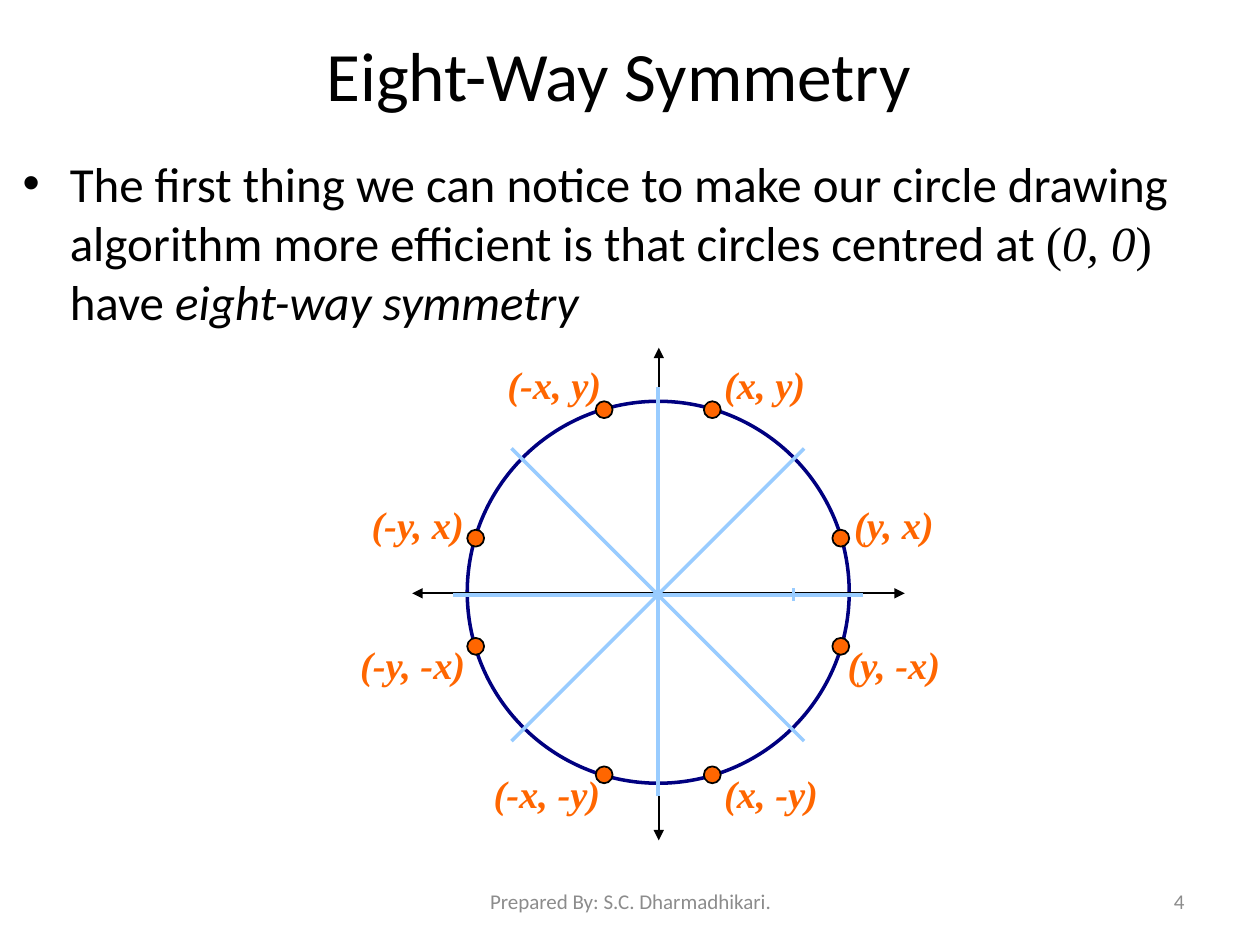
from lxml.etree import SubElement
from pptx import Presentation
from pptx.dml.color import RGBColor
from pptx.enum.shapes import MSO_CONNECTOR, MSO_SHAPE
from pptx.enum.text import MSO_ANCHOR, MSO_AUTO_SIZE, PP_ALIGN
from pptx.oxml.ns import qn
from pptx.util import Cm, Pt


def style(font, color, **values):
    """Set the colour and any other font values."""
    font.color.rgb = RGBColor.from_string(color)
    for name, value in values.items():
        setattr(font, name, value)


def stroke(line, color, width):
    line.color.rgb = RGBColor.from_string(color)
    line.width = Pt(width)


BLACK, NAVY, ORANGE, SKY, GREY = "000000", "000080", "FF6600", "99CCFF", "8C8C8C"
SANS, SERIF = "Calibri", "Times New Roman"

deck = Presentation()
deck.slide_width, deck.slide_height = Cm(25.4), Cm(19.05)
slide = deck.slides.add_slide(deck.slide_layouts[1])
shapes = slide.shapes

# Title and body
title, body = slide.placeholders
for holder, box in ((title, (1.02, 0.64, 22.91, 1.68)), (body, (0.2, 2.97, 24.13, 14.53))):
    holder.left, holder.top, holder.width, holder.height = map(Cm, box)
    holder.text_frame.auto_size = MSO_AUTO_SIZE.NONE

title.text_frame.text = "Eight-Way Symmetry"
title.text_frame.vertical_anchor = MSO_ANCHOR.MIDDLE
head = title.text_frame.paragraphs[0]
head.alignment = PP_ALIGN.CENTER
style(head.runs[0].font, BLACK, name=SANS, size=Pt(39.6))

para = body.text_frame.paragraphs[0]
para.space_before = Pt(0)
for text, face, slant in (
    ("The first thing we can notice to make our circle drawing algorithm "
     "more efficient is that circles centred at ", SANS, False),
    ("(", SERIF, False),
    ("0, 0", SERIF, True),
    (")", SERIF, False),
    (" have ", SANS, False),
    ("eight-way symmetry", SANS, True),
):
    run = para.add_run()
    run.text = text
    style(run.font, BLACK, name=face, size=Pt(28), italic=slant)

# Circle
mid_x, mid_y, rad = 13.27, 11.94, 3.85
ring = shapes.add_shape(MSO_SHAPE.OVAL, Cm(mid_x - rad), Cm(mid_y - rad), Cm(2 * rad), Cm(2 * rad))
ring.shadow.inherit = False
ring.fill.background()
stroke(ring.line, NAVY, 2)

# Axes, spokes and tick: ends, colour, width, arrowheads
axis, spoke = (BLACK, 1, True), (SKY, 2, False)
for ends, (color, width, heads) in (
    ((13.28, 16.94, 13.28, 7.01), axis),
    ((8.31, 11.96, 18.24, 11.96), axis),
    ((10.31, 14.94, 16.21, 9.04), spoke),
    ((16, 11.86, 16, 12.12), spoke),
    ((16.21, 14.94, 10.31, 9.04), spoke),
    ((13.26, 16.05, 13.26, 7.8), spoke),
    ((9.14, 11.99, 17.4, 11.99), spoke),
):
    line = shapes.add_connector(MSO_CONNECTOR.STRAIGHT, *map(Cm, ends))
    stroke(line.line, color, width)
    props = line._element.spPr
    if heads:
        for tag in ("a:headEnd", "a:tailEnd"):
            SubElement(props.find(qn("a:ln")), qn(tag), type="triangle")
    SubElement(props, qn("a:effectLst"))

# Mirrored points with their labels: text, point offset, label corner
near, far, dot = 1.09, 3.68, 0.34
for text, dx, dy, left, top in (
    ("(x, y)", near, -far, 14.35, 7.16),
    ("(y, x)", far, -near, 16.97, 9.98),
    ("(y, -x)", far, near, 16.84, 12.8),
    ("(x, -y)", near, far, 14.35, 15.39),
    ("(-x, -y)", -near, far, 9.7, 15.39),
    ("(-y, -x)", -far, near, 7.01, 12.8),
    ("(-y, x)", -far, -near, 7.24, 9.98),
    ("(-x, y)", -near, -far, 9.98, 7.16),
):
    point = shapes.add_shape(
        MSO_SHAPE.OVAL, Cm(mid_x + dx - dot / 2), Cm(mid_y + dy - dot / 2), Cm(dot), Cm(dot))
    point.shadow.inherit = False
    point.fill.solid()
    point.fill.fore_color.rgb = RGBColor.from_string(ORANGE)
    stroke(point.line, BLACK, 1)

    wide = 2.16 + 0.25 * text.count("-")
    frame = shapes.add_textbox(Cm(left), Cm(top), Cm(wide), Cm(1.19)).text_frame
    frame.word_wrap = False
    frame.auto_size = MSO_AUTO_SIZE.SHAPE_TO_FIT_TEXT
    frame.text = text
    style(frame.paragraphs[0].runs[0].font, ORANGE,
          name=SERIF, size=Pt(22), bold=True, italic=True)

# Footer and page number
for text, left, wide, align in (
    ("4", 18.21, 5.92, PP_ALIGN.RIGHT),
    ("Prepared By: S.C. Dharmadhikari.", 8.69, 8.05, PP_ALIGN.CENTER),
):
    frame = shapes.add_textbox(Cm(left), Cm(17.65), Cm(wide), Cm(1.02)).text_frame
    frame.word_wrap = True
    frame.vertical_anchor = MSO_ANCHOR.MIDDLE
    frame.text = text
    frame.paragraphs[0].alignment = align
    style(frame.paragraphs[0].runs[0].font, GREY, name=SANS, size=Pt(12))

deck.save("out.pptx")
